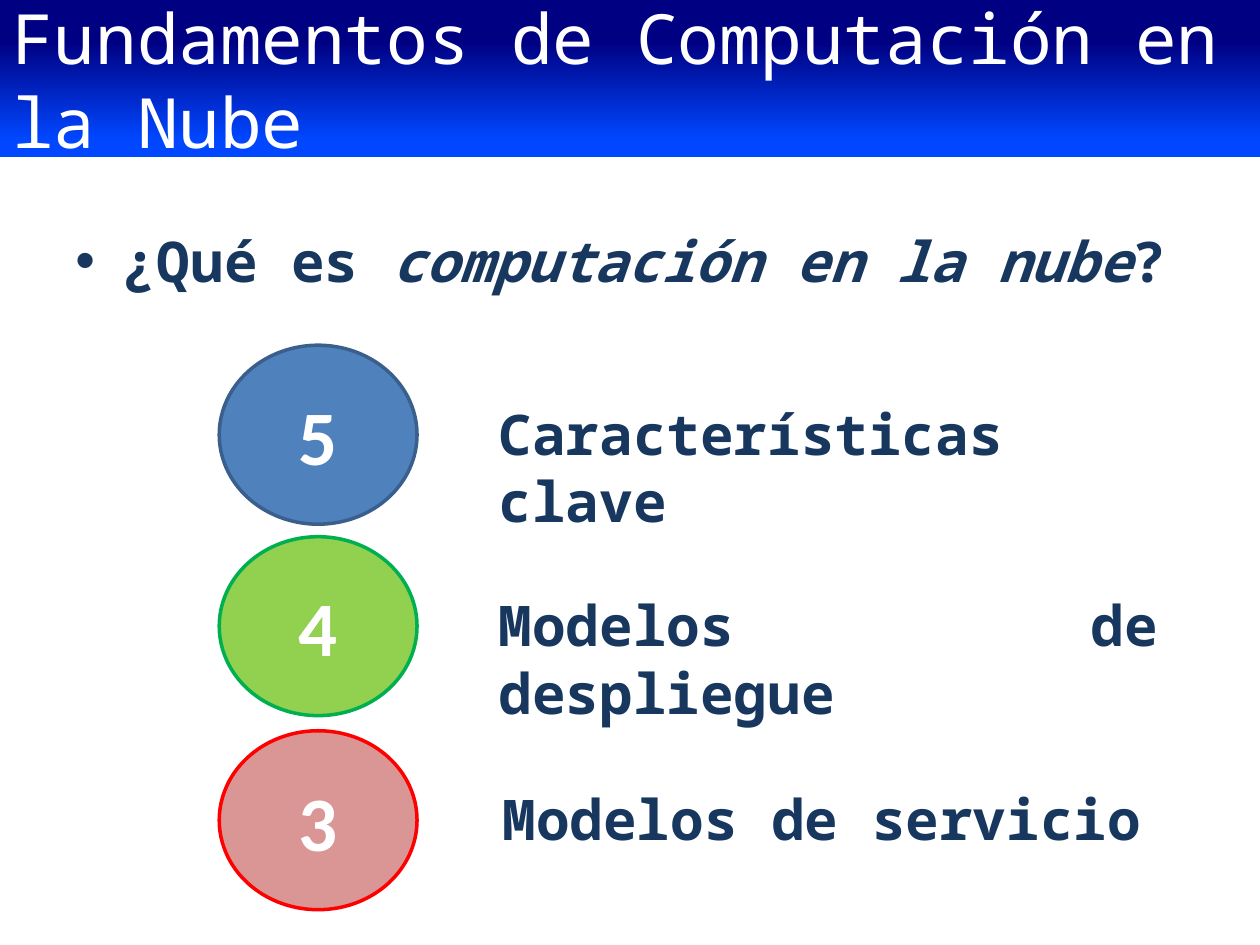
from dataclasses import dataclass

from lxml import etree
from pptx import Presentation
from pptx.dml.color import RGBColor
from pptx.enum.shapes import MSO_SHAPE
from pptx.enum.text import MSO_ANCHOR, PP_ALIGN
from pptx.oxml.ns import qn
from pptx.util import Inches, Pt

RECTANGLE, OVAL = MSO_SHAPE.RECTANGLE, MSO_SHAPE.OVAL
MIDDLE = MSO_ANCHOR.MIDDLE
LEFT, CENTER, JUSTIFY = PP_ALIGN.LEFT, PP_ALIGN.CENTER, PP_ALIGN.JUSTIFY

COLORS = {
    "white": "FFFFFF",
    "navy": "17375E",
    "banner_dark": "000082",
    "banner_light": "0047FF",
    "blue": "4F81BD",
    "blue_line": "3A5F8C",
    "green": "92D050",
    "green_line": "00B050",
    "pink": "D99694",
    "red_line": "FF0000",
}
BANNER_STOPS = [(0, "banner_dark"), (26, "banner_dark"),
                (89, "banner_light"), (100, "banner_light")]
MONO, SANS = "Noto Sans Mono", "Calibri"


@dataclass
class Item:
    number: str
    label: str
    fill: str
    line: str
    top: float
    label_left: float = 3.86


ITEMS = [
    Item("5", "Características clave", "blue", "blue_line", 2.74),
    Item("4", "Modelos de despliegue", "green", "green_line", 4.26),
    Item("3", "Modelos de servicio", "pink", "red_line", 5.8, 3.89),
]


def color(name: str) -> RGBColor:
    return RGBColor.from_string(COLORS[name])


def style(paragraph, font_name: str, size: float, color_name: str,
          bold: bool, alignment) -> None:
    paragraph.alignment = alignment
    font = paragraph.font
    font.name, font.size, font.bold = font_name, Pt(size), bold
    font.color.rgb = color(color_name)


def add_banner(slide, text: str) -> None:
    shape = slide.shapes.add_shape(RECTANGLE, 0, 0, Inches(10), Inches(1.25))
    shape.shadow.inherit = False
    shape.line.fill.background()
    shape.fill.gradient()
    shape.fill.gradient_angle = 270
    # Four gradient stops, from top to bottom
    stops = shape._element.spPr.find(".//" + qn("a:gsLst"))
    for stop in list(stops):
        stops.remove(stop)
    for percent, name in BANNER_STOPS:
        stop = etree.SubElement(stops, qn("a:gs"), pos=str(percent * 1000))
        etree.SubElement(stop, qn("a:srgbClr"), val=COLORS[name])
    shape.text_frame.vertical_anchor = MIDDLE
    shape.text_frame.text = text
    style(shape.text_frame.paragraphs[0], MONO, 39.6, "white", False, LEFT)


def add_text(slide, left: float, top: float, width: float):
    box = slide.shapes.add_textbox(Inches(left), Inches(top), Inches(width), Inches(0.66))
    box.text_frame.word_wrap = True
    paragraph = box.text_frame.paragraphs[0]
    paragraph.space_before = Pt(6.4)
    style(paragraph, MONO, 32, "navy", True, JUSTIFY)
    return paragraph


def add_question(slide) -> None:
    paragraph = add_text(slide, 0.5, 1.75, 9)
    for text, italic in [("¿Qué es ", False), ("computación en la nube", True), ("?", False)]:
        run = paragraph.add_run()
        run.text = text
        run.font.italic = italic
    # Hanging bullet, placed before the default run properties
    properties = paragraph._p.get_or_add_pPr()
    indent = Inches(0.38)
    properties.set("marL", str(indent))
    properties.set("indent", str(-indent))
    defaults = properties.find(qn("a:defRPr"))
    bullet_font = etree.Element(qn("a:buFont"), typeface="Arial")
    bullet = etree.Element(qn("a:buChar"), char="•")
    defaults.addprevious(bullet_font)
    defaults.addprevious(bullet)


def add_item(slide, item: Item) -> None:
    circle = slide.shapes.add_shape(
        OVAL, Inches(1.74), Inches(item.top), Inches(1.57), Inches(1.42))
    circle.shadow.inherit = False
    circle.fill.solid()
    circle.fill.fore_color.rgb = color(item.fill)
    circle.line.color.rgb = color(item.line)
    circle.line.width = Pt(2)
    circle.text_frame.vertical_anchor = MIDDLE
    circle.text_frame.text = item.number
    style(circle.text_frame.paragraphs[0], SANS, 44, "white", True, CENTER)
    label = add_text(slide, item.label_left, item.top + 0.38, 5.43)
    label.add_run().text = item.label


def main() -> None:
    presentation = Presentation()
    presentation.slide_width, presentation.slide_height = Inches(10), Inches(7.5)
    slide = presentation.slides.add_slide(presentation.slide_layouts[6])
    # Title and question
    add_banner(slide, "Fundamentos de Computación en la Nube")
    add_question(slide)
    # Numbered circles with their labels
    for item in ITEMS:
        add_item(slide, item)
    presentation.save("out.pptx")


if __name__ == "__main__":
    main()
